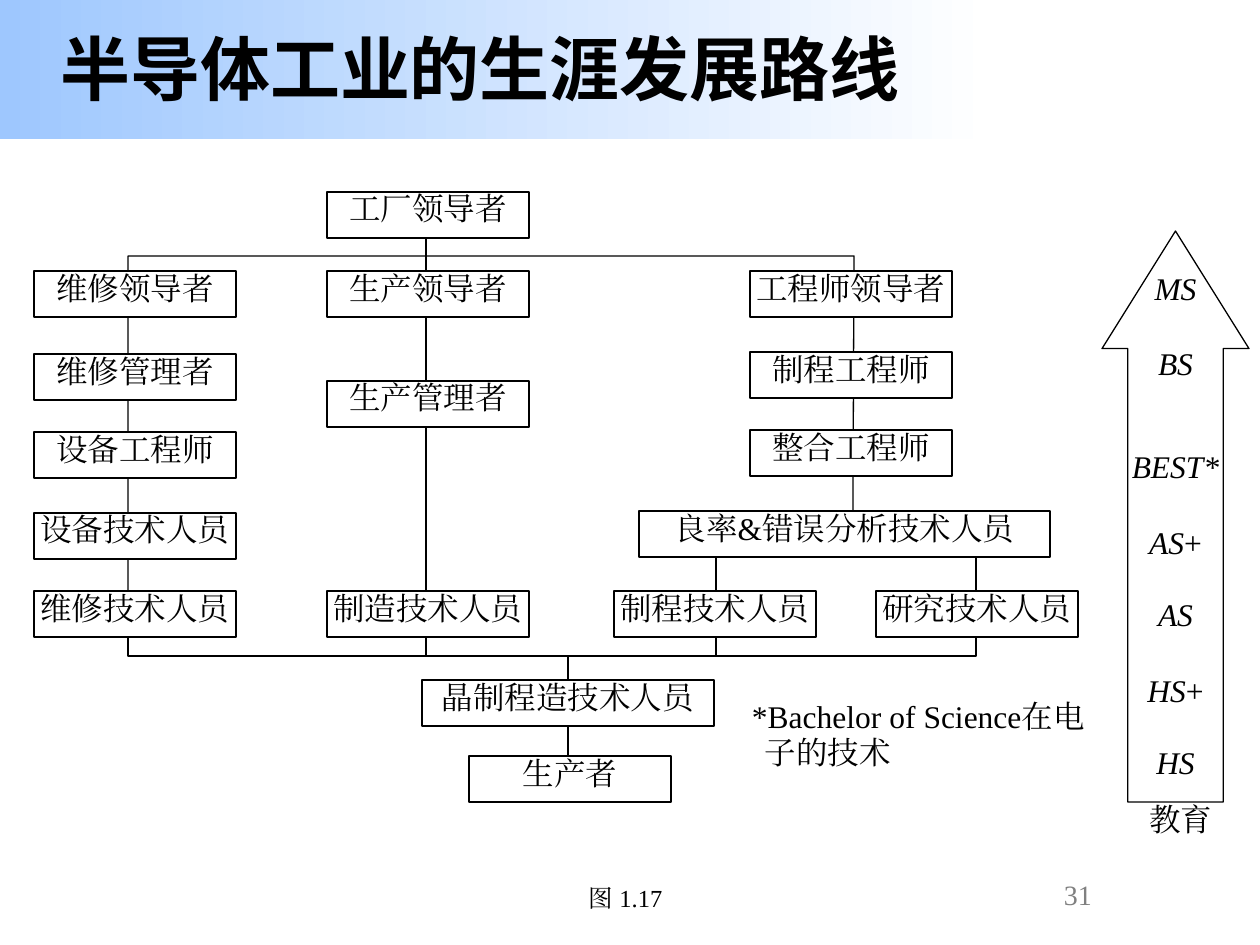
from lxml import etree
from pptx import Presentation
from pptx.dml.color import RGBColor
from pptx.enum.shapes import MSO_CONNECTOR, MSO_SHAPE
from pptx.enum.text import MSO_ANCHOR, PP_ALIGN
from pptx.oxml.ns import qn
from pptx.util import Emu, Pt

LEFT, CENTER, JUSTIFY = PP_ALIGN.LEFT, PP_ALIGN.CENTER, PP_ALIGN.JUSTIFY
TOP, MIDDLE = MSO_ANCHOR.TOP, MSO_ANCHOR.MIDDLE
RECTANGLE, UP_ARROW = MSO_SHAPE.RECTANGLE, MSO_SHAPE.UP_ARROW
STRAIGHT = MSO_CONNECTOR.STRAIGHT

PX = 914400 / 126
BODY_FONT = "Times New Roman"
TITLE_FONT = "Noto Sans CJK TC"
BLACK, WHITE, GRAY, SKY = "000000", "FFFFFF", "808080", "9EC7FE"


def px(*values):
    return [Emu(round(value * PX)) for value in values]


def write(shape, text, size=18, font=BODY_FONT, color=BLACK, align=CENTER,
          spacing=0.96, inset=(0, 0), anchor=TOP, wrap=True):
    """Fill a shape with text, one paragraph per line, in one style."""
    frame = shape.text_frame
    frame.word_wrap = wrap
    frame.vertical_anchor = anchor
    frame.margin_left = frame.margin_right = px(inset[0])[0]
    frame.margin_top = frame.margin_bottom = px(inset[1])[0]
    frame.text = text
    for paragraph in frame.paragraphs:
        paragraph.alignment = align
        paragraph.line_spacing = spacing
        for run in paragraph.runs:
            run.font.size = Pt(size)
            run.font.name = font
            run.font.color.rgb = RGBColor.from_string(color)
            east_asian = etree.SubElement(run._r.get_or_add_rPr(), qn("a:ea"))
            east_asian.set("typeface", font)
    return frame


presentation = Presentation()
presentation.slide_width, presentation.slide_height = px(1260, 945)
slide = presentation.slides.add_slide(presentation.slide_layouts[6])
shapes = slide.shapes
black = RGBColor.from_string(BLACK)
white = RGBColor.from_string(WHITE)

# Title band, title, page number and caption
band = shapes.add_shape(RECTANGLE, *px(0, 0, 993, 139))
band.shadow.inherit = False
band.line.fill.background()
band.fill.gradient()
band.fill.gradient_angle = 0
for stop, color in zip(band.fill.gradient_stops, (SKY, WHITE)):
    stop.color.rgb = RGBColor.from_string(color)

title = write(shapes.add_textbox(*px(0, 11, 960, 126)), "半导体工业的生涯发展路线",
              size=40, font=TITLE_FONT, spacing=0.85, inset=(13, 6), anchor=MIDDLE)
title.paragraphs[0].runs[0].font.bold = True
write(shapes.add_textbox(*px(1051, 872, 141, 47)), "31", size=16, color=GRAY,
      align=LEFT, spacing=1, inset=(13, 6), wrap=False)
write(shapes.add_textbox(*px(573, 877, 105, 72)), "图 1.17", size=14,
      spacing=1, inset=(13, 6), wrap=False)

# Connecting lines, drawn behind the boxes
for x, top, bottom in [(568, 656, 756), (716, 557, 656), (426, 238, 656)]:
    connector = shapes.add_connector(STRAIGHT, *px(x, top, x, bottom))
    connector.line.color.rgb = black
    connector.line.width = Pt(0.75)
    etree.SubElement(connector._element.spPr, qn("a:effectLst"))

brackets = [
    [(128, 592), (128, 656), (976, 656), (976, 557)],
    [(128, 597), (128, 256), (854, 256), (853, 519)],
]
for start, *corners in brackets:
    builder = shapes.build_freeform(*start, scale=PX)
    builder.add_line_segments(corners, close=False)
    bracket = builder.convert_to_shape()
    bracket.shadow.inherit = False
    bracket.fill.background()
    bracket.line.color.rgb = black
    bracket.line.width = Pt(0.75)

# Job boxes: left, width, then (top, name) down the column
columns = [
    (327, 202, [(192, "工厂领导者"), (271, "生产领导者"), (381, "生产管理者"),
                (591, "制造技术人员")]),
    (34, 202, [(271, "维修领导者"), (354, "维修管理者"), (432, "设备工程师"),
               (513, "设备技术人员"), (591, "维修技术人员")]),
    (750, 202, [(271, "工程师领导者"), (352, "制程工程师"), (430, "整合工程师")]),
    (639, 411, [(511, "良率&错误分析技术人员")]),
    (614, 202, [(591, "制程技术人员")]),
    (876, 202, [(591, "研究技术人员")]),
    (422, 292, [(680, "晶制程造技术人员")]),
    (469, 202, [(756, "生产者")]),
]
for left, width, jobs in columns:
    for top, name in jobs:
        box = shapes.add_shape(RECTANGLE, *px(left, top, width, 46))
        box.shadow.inherit = False
        box.fill.solid()
        box.fill.fore_color.rgb = white
        box.line.color.rgb = black
        box.line.width = Pt(0.75)
        write(box, name)

# Education arrow
arrow = shapes.add_shape(UP_ARROW, *px(1102, 231, 147, 571))
arrow.adjustments[0] = 0.65
arrow.adjustments[1] = 0.8
arrow.shadow.inherit = False
arrow.fill.background()
arrow.line.color.rgb = black
arrow.line.width = Pt(0.75)

footnote_box = shapes.add_textbox(*px(752, 699, 333, 82))
footnote_box.fill.solid()
footnote_box.fill.fore_color.rgb = white
footnote = write(footnote_box, "*Bachelor of Science在电子的技术", align=JUSTIFY)
properties = footnote.paragraphs[0]._p.get_or_add_pPr()
indent = px(13)[0]
properties.set("marL", str(indent))
properties.set("indent", str(-indent))

write(shapes.add_textbox(*px(1120, 803, 121, 50)), "教育")

# Degrees with the space before each, in points
degrees = [("MS", 0), ("BS", 22.5), ("BEST*", 38), ("AS+", 22.5),
           ("AS", 20.6), ("HS+", 22.5), ("HS", 20.6)]
education = write(shapes.add_textbox(*px(1116, 271, 119, 548)),
                  "\n".join(degree.rstrip("+") for degree, gap in degrees))
for paragraph, (degree, gap) in zip(education.paragraphs, degrees):
    paragraph.space_before = Pt(gap)
    paragraph.runs[0].font.italic = True
    if degree.endswith("+"):
        plus = paragraph.add_run()
        plus.text = "+"
        plus.font.size = Pt(18)
        plus.font.name = BODY_FONT
        plus.font.color.rgb = black

presentation.save("out.pptx")
